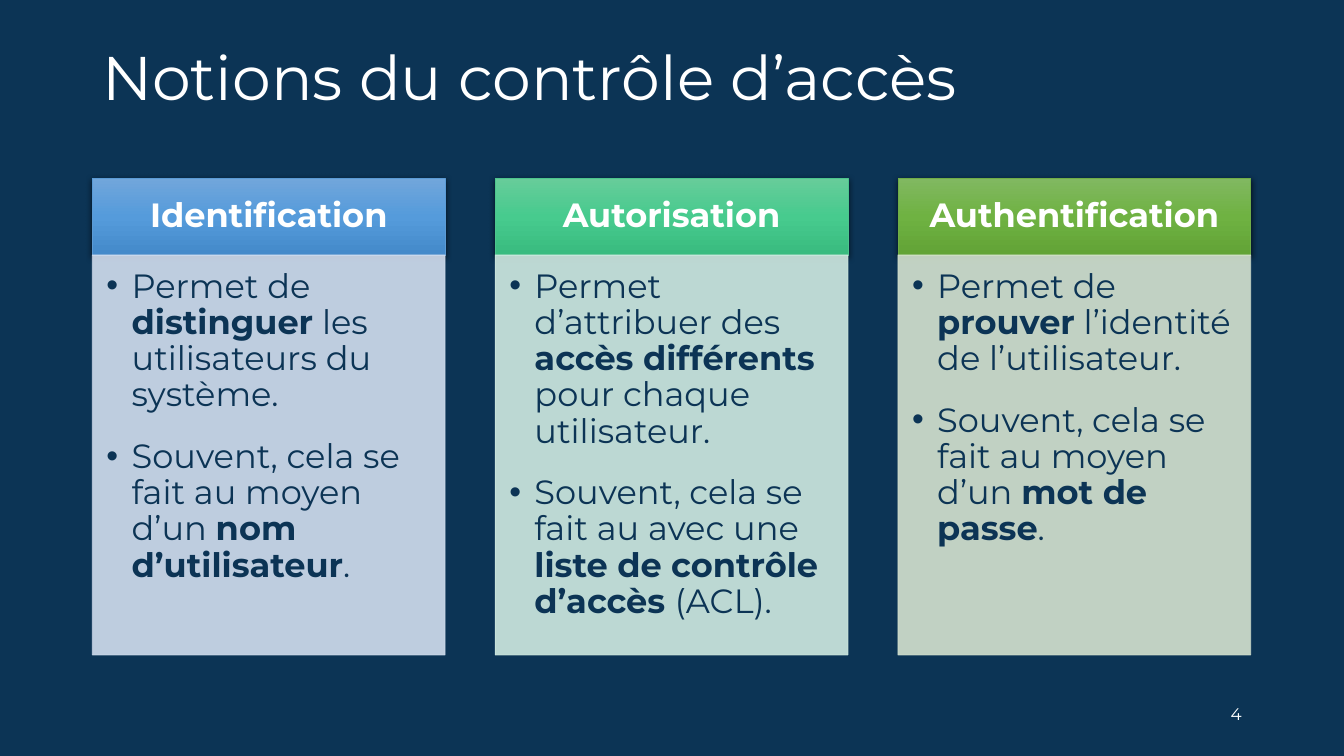
"""Build a slide that compares three notions of access control."""
from copy import deepcopy

from lxml.etree import SubElement
from pptx import Presentation
from pptx.dml.color import RGBColor
from pptx.enum.shapes import MSO_SHAPE as Shape
from pptx.enum.text import MSO_ANCHOR as Anchor, PP_ALIGN as Align
from pptx.oxml.ns import qn
from pptx.util import Pt

NAVY = RGBColor(0x0C, 0x34, 0x55)
WHITE = RGBColor(0xFF, 0xFF, 0xFF)
BLUE = RGBColor(0x5B, 0x9B, 0xD5)
BLUE_GRADIENT = (RGBColor(0x71, 0xA6, 0xDB), RGBColor(0x55, 0x9B, 0xDB), RGBColor(0x44, 0x8A, 0xCA))
BLUE_PALE = RGBColor(0xD2, 0xDE, 0xEF)
MINT = RGBColor(0x4D, 0xC5, 0x8D)
MINT_GRADIENT = (RGBColor(0x67, 0xCC, 0x9A), RGBColor(0x47, 0xCB, 0x8E), RGBColor(0x39, 0xBB, 0x7F))
MINT_PALE = RGBColor(0xD0, 0xEA, 0xE1)
GREEN = RGBColor(0x70, 0xAD, 0x47)
GREEN_GRADIENT = (RGBColor(0x81, 0xB8, 0x61), RGBColor(0x6F, 0xB2, 0x42), RGBColor(0x62, 0xA3, 0x36))
GREEN_PALE = RGBColor(0xD5, 0xE3, 0xCF)

COLUMNS = (
    ("Identification", BLUE, BLUE_GRADIENT, BLUE_PALE, (
        ("Permet de ", "distinguer", " les utilisateurs du système."),
        ("Souvent, cela se fait au moyen d’un ", "nom d’utilisateur", "."))),
    ("Autorisation", MINT, MINT_GRADIENT, MINT_PALE, (
        ("Permet d’attribuer des ", "accès différents ", "pour chaque utilisateur."),
        ("Souvent, cela se fait au avec une ", "liste de contrôle d’accès ", "(ACL)."))),
    ("Authentification", GREEN, GREEN_GRADIENT, GREEN_PALE, (
        ("Permet de ", "prouver", " l’identité de l’utilisateur."),
        ("Souvent, cela se fait au moyen d’un ", "mot de passe", "."))),
)
LEFT, PITCH, WIDTH = 66, 287.7, 252
HEADER_TOP, HEADER_HEIGHT, BODY_HEIGHT = 127.4, 54.7, 285.8


def apply(target, values):
    for name, value in values.items():
        setattr(target, name, value)


class SlideBuilder:
    def __init__(self, slide, font):
        self.slide = slide
        self.font = font
        slide.background.fill.solid()
        slide.background.fill.fore_color.rgb = NAVY

    def frame(self, shape, anchor, insets):
        left, top, right, bottom = insets
        apply(shape.text_frame, {
            "word_wrap": True, "vertical_anchor": anchor,
            "margin_left": Pt(left), "margin_top": Pt(top),
            "margin_right": Pt(right), "margin_bottom": Pt(bottom)})
        return shape.text_frame

    def add_runs(self, paragraph, parts, size, color, **layout):
        apply(paragraph, layout)
        for text, bold in parts:
            run = paragraph.add_run()
            run.text = text
            apply(run.font, {"name": self.font, "size": Pt(size), "bold": bold})
            run.font.color.rgb = color

    def label(self, text, box, size, **layout):
        shape = self.slide.shapes.add_textbox(*map(Pt, box))
        frame = self.frame(shape, Anchor.MIDDLE, (7.2, 3.6, 7.2, 3.6))
        self.add_runs(frame.paragraphs[0], [(text, False)], size, WHITE, **layout)

    def rectangle(self, box, line_color):
        shape = self.slide.shapes.add_shape(Shape.RECTANGLE, *map(Pt, box))
        shape.shadow.inherit = False
        shape.line.color.rgb = line_color
        shape.line.width = Pt(0.5)
        return shape

    def header(self, text, box, line_color, gradient):
        shape = self.rectangle(box, line_color)
        shape.fill.gradient()
        shape.fill.gradient_angle = 270
        properties = shape._element.spPr
        stops = properties.find(".//" + qn("a:gsLst"))
        stops.insert(1, deepcopy(stops[0]))
        for stop, position, color in zip(shape.fill.gradient_stops, (0, 0.5, 1), gradient):
            stop.position = position
            stop.color.rgb = color
        shadow = SubElement(properties.find(qn("a:effectLst")), qn("a:outerShdw"), {
            "blurRad": str(Pt(4.5)), "dist": str(Pt(1.5)), "dir": "5400000",
            "algn": "ctr", "rotWithShape": "0"})
        black = SubElement(shadow, qn("a:srgbClr"), val="000000")
        SubElement(black, qn("a:alpha"), val="63000")
        frame = self.frame(shape, Anchor.MIDDLE, (13.4, 7.7, 13.4, 7.7))
        self.add_runs(frame.paragraphs[0], [(text, True)], 24, WHITE,
                      alignment=Align.CENTER, line_spacing=0.9)

    def body(self, points, box, color):
        shape = self.rectangle(box, color)
        shape.fill.solid()
        shape.fill.fore_color.rgb = color
        for value in shape._element.spPr.iter(qn("a:srgbClr")):
            SubElement(value, qn("a:alpha"), val="90000")
        frame = self.frame(shape, Anchor.TOP, (10.1, 10.1, 13.4, 15.1))
        for index, point in enumerate(points):
            paragraph = frame.add_paragraph() if index else frame.paragraphs[0]
            self.add_runs(paragraph, zip(point, (False, True, False)), 24, NAVY,
                          alignment=Align.LEFT, line_spacing=0.9, space_after=Pt(18))
            self.bullet(paragraph)

    def bullet(self, paragraph):
        properties = paragraph._p.get_or_add_pPr()
        properties.set("marL", str(Pt(18)))
        properties.set("indent", str(-Pt(18)))
        SubElement(properties, qn("a:buFont"), typeface="Arial")
        SubElement(properties, qn("a:buChar"), char="•")


def main():
    presentation = Presentation()
    apply(presentation, {"slide_width": Pt(960), "slide_height": Pt(540)})
    slide = presentation.slides.add_slide(presentation.slide_layouts[6])
    builder = SlideBuilder(slide, "Montserrat")
    builder.label("Notions du contrôle d’accès", (LEFT, 28.8, 828, 56.9), 44, line_spacing=0.9)
    for index, (name, color, gradient, pale, points) in enumerate(COLUMNS):
        left = LEFT + index * PITCH
        builder.header(name, (left, HEADER_TOP, WIDTH, HEADER_HEIGHT), color, gradient)
        builder.body(points, (left, HEADER_TOP + HEADER_HEIGHT, WIDTH, BODY_HEIGHT), pale)
    builder.label("4", (678, 495.5, 216, 28.8), 12, alignment=Align.RIGHT)
    presentation.save("out.pptx")


if __name__ == "__main__":
    main()
